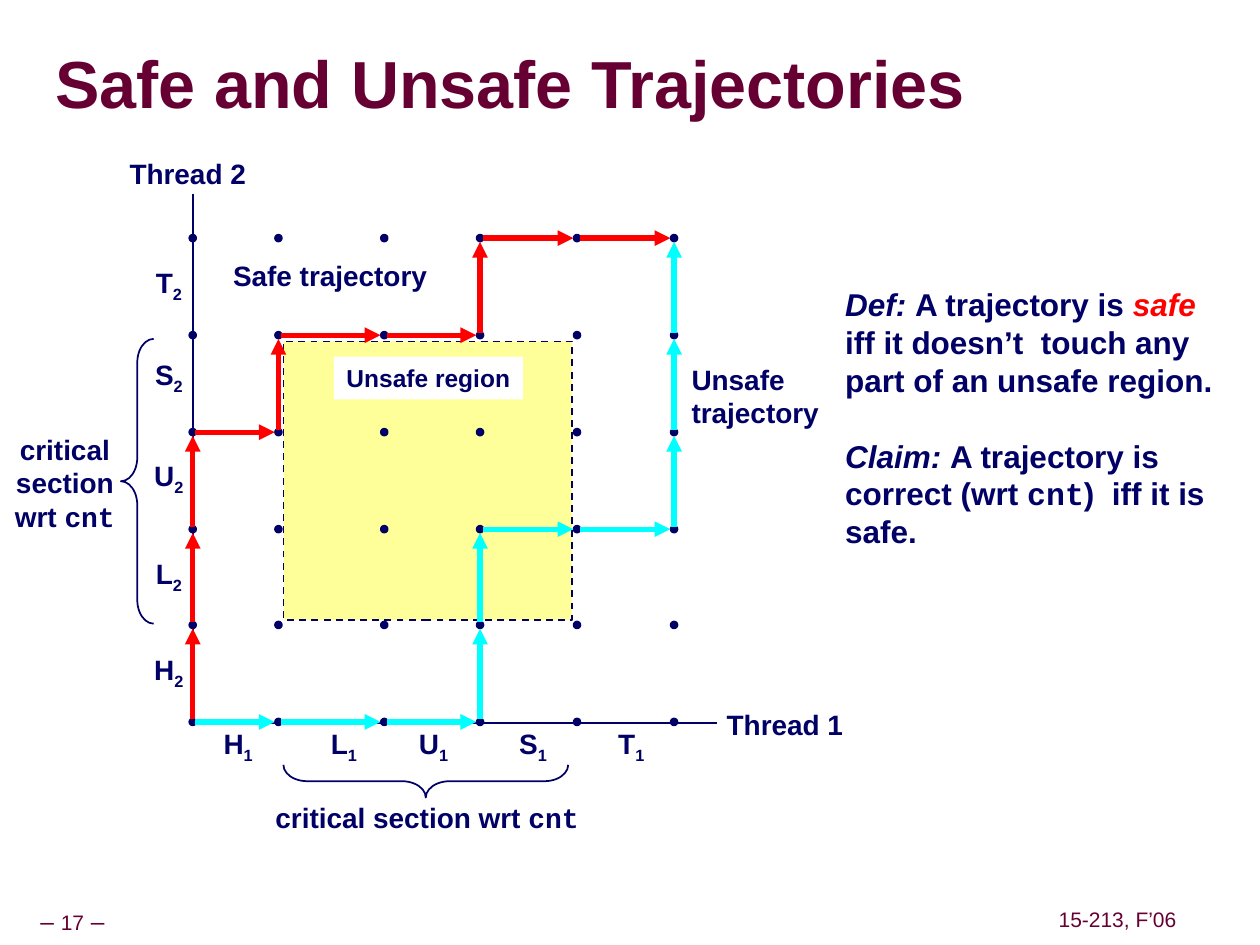
from lxml import etree
from pptx import Presentation
from pptx.dml.color import RGBColor
from pptx.enum import dml, shapes, text
from pptx.oxml.ns import qn
from pptx.util import Inches, Pt

THEME = {
    "navy": "000066", "maroon": "660033", "red": "FF0000", "cyan": "00FFFF",
    "yellow": "FFFF99", "white": "FFFFFF",
    "sans": "Arial", "mono": "Courier New",
    "title": 38, "body": 18, "label": 16, "small": 14, "footer": 12,
}
MONO = {"font": "mono"}
ITALIC = {"italic": True}
FOOTER = {"color": "maroon", "bold": False, "size": "footer"}
CENTER, LEFT = text.PP_ALIGN.CENTER, text.PP_ALIGN.LEFT

TITLE = [[("Safe and Unsafe Trajectories", {"color": "maroon", "size": "title"})]]
PAGE = [[("– ", {**FOOTER, "size": "small"}), ("17", FOOTER),
         (" –", {**FOOTER, "size": "small"})]]
COURSE = [[("15-213, F’06", FOOTER)]]
DEFINITION = [
    [("Def: ", ITALIC), ("A trajectory is ", {}), ("safe", {"color": "red", **ITALIC})],
    [("iff it doesn’t  touch any", {})],
    [("part of an unsafe region.", {})],
    [("Claim: ", ITALIC), ("A trajectory is", {})],
    [("correct (wrt ", {}), ("cnt", MONO), (")  iff it is", {})],
    [("safe.", {})],
]
CRITICAL = [[("critical section wrt ", {}), ("cnt", MONO)]]
LABELS = [
    ([[("Thread 1", {})]], (5.63, 5.56, 1.2, 0.37), CENTER),
    ([[("Thread 2", {})]], (0.89, 1.19, 1.2, 0.37), CENTER),
    ([[("Unsafe", {})], [("trajectory", {})]], (5.39, 2.82, 1.25, 0.64), LEFT),
    ([[("Safe trajectory", {})]], (1.72, 2, 1.8, 0.37), CENTER),
    (CRITICAL, (2.04, 6.3, 2.7, 0.37), CENTER),
]
STEPS = "HLUST"
STEP_X = [1.89, 2.73, 3.44, 4.23, 5.01]
STEP_Y = [5.33, 4.57, 3.79, 2.99, 2.26]
STEP_W, STEP_H = 0.5, 0.41
GRID_X = [1.53, 2.21, 3.05, 3.81, 4.58, 5.35]
GRID_Y = [5.73, 4.96, 4.2, 3.43, 2.66, 1.89]
TRAJECTORIES = [("cyan", "RRRUURRUUU"), ("red", "UUURURRURR")]
DOT, START_GAP, END_GAP = 0.04, 0.02, 0.03


def rgb(name):
    return RGBColor.from_string(THEME[name])


def add_text(s, paras, box, align=CENTER, size="label", inset=(0.1, 0.05),
             wrap=False, fill=None, spacing=None):
    sp = s.shapes.add_textbox(*map(Inches, box))
    if fill:
        sp.fill.solid()
        sp.fill.fore_color.rgb = rgb(fill)
    tf = sp.text_frame
    tf.word_wrap = wrap
    tf.vertical_anchor = text.MSO_ANCHOR.MIDDLE
    tf.margin_left = tf.margin_right = Inches(inset[0])
    tf.margin_top = tf.margin_bottom = Inches(inset[1])
    for i, runs in enumerate(paras):
        p = tf.add_paragraph() if i else tf.paragraphs[0]
        p.alignment = align
        if spacing:
            p.line_spacing = spacing
        for content, style in runs:
            r = p.add_run()
            r.text = content
            r.font.name = THEME[style.get("font", "sans")]
            r.font.size = Pt(THEME[style.get("size", size)])
            r.font.bold = style.get("bold", True)
            r.font.italic = style.get("italic", False)
            r.font.color.rgb = rgb(style.get("color", "navy"))
            if "baseline" in style:
                r._r.get_or_add_rPr().set("baseline", style["baseline"])
    return tf


def add_shape(s, kind, box, fill=None, width=1):
    sp = s.shapes.add_shape(kind, *map(Inches, box))
    sp.shadow.inherit = False
    if fill:
        sp.fill.solid()
        sp.fill.fore_color.rgb = rgb(fill)
    else:
        sp.fill.background()
    sp.line.color.rgb = rgb("navy")
    sp.line.width = Pt(width)
    return sp


def add_line(s, start, end, color="navy", width=1, arrow=False):
    line = s.shapes.add_connector(shapes.MSO_CONNECTOR.STRAIGHT,
                                  *map(Inches, (*start, *end)))
    line.line.color.rgb = rgb(color)
    line.line.width = Pt(width)
    if arrow:
        etree.SubElement(line.line._get_or_add_ln(), qn("a:tailEnd"), type="triangle")
    etree.SubElement(line._element.spPr, qn("a:effectLst"))


def add_brace(s, box, rotation=0):
    brace = add_shape(s, shapes.MSO_SHAPE.LEFT_BRACE, box)
    brace.adjustments[0] = 0.73
    brace.rotation = rotation


def add_trajectory(s, color, moves):
    col = row = 0
    for move in moves:
        x, y = GRID_X[col], GRID_Y[row]
        if move == "R":
            col += 1
            start, end = (x + START_GAP, y), (GRID_X[col] - END_GAP, y)
        else:
            row += 1
            start, end = (x, y - START_GAP), (x, GRID_Y[row] + END_GAP)
        add_line(s, start, end, color, 3, arrow=True)


def add_graph(s):
    region = add_shape(s, shapes.MSO_SHAPE.RECTANGLE, (2.25, 2.71, 2.29, 2.21), "yellow")
    region.line.dash_style = dml.MSO_LINE.DASH
    origin = (GRID_X[0], 5.74)
    add_line(s, origin, (5.69, 5.74))
    add_line(s, origin, (GRID_X[0], 1.54))
    for thread, centers in (("1", [(x, 5.92) for x in STEP_X]),
                            ("2", [(1.34, y) for y in STEP_Y])):
        for step, (x, y) in zip(STEPS, centers):
            label = [[(step, {}), (thread, {"baseline": "-25000"})]]
            add_text(s, label, (x - STEP_W / 2, y - STEP_H / 2, STEP_W, STEP_H))
    for x in GRID_X:
        for y in GRID_Y:
            add_shape(s, shapes.MSO_SHAPE.OVAL, (x - DOT / 2, y - DOT / 2, DOT, DOT),
                      "navy", 2)
    add_text(s, [[("Unsafe region", {})]], (2.65, 2.83, 1.5, 0.34), size="small",
             fill="white")
    for color, moves in TRAJECTORIES:
        add_trajectory(s, color, moves)
    add_brace(s, (0.96, 2.69, 0.26, 2.26))
    add_brace(s, (3.25, 5.07, 0.26, 2.26), 270)
    add_text(s, CRITICAL, (0, 3.38, 1.03, 0.9), wrap=True)


def main():
    """Build the slide on safe and unsafe trajectories."""
    prs = Presentation()
    prs.slide_width, prs.slide_height = Inches(10), Inches(7.5)
    s = prs.slides.add_slide(prs.slide_layouts[6])
    add_text(s, PAGE, (-0.02, 7.17, 1.19, 0.31), inset=(0.05, 0.05), spacing=0.9)
    add_text(s, COURSE, (8.35, 7.17, 1.04, 0.28), inset=(0.05, 0.05), spacing=0.9)
    add_text(s, TITLE, (0.44, 0.27, 9.53, 0.85), LEFT, inset=(0, 0), wrap=True,
             spacing=0.87)
    add_graph(s)
    for paras, box, align in LABELS:
        add_text(s, paras, box, align)
    tf = add_text(s, DEFINITION, (6.61, 1.59, 3.27, 3.45), LEFT, "body", (0.1, 0))
    tf.paragraphs[3].space_before = Pt(21.6)
    prs.save("out.pptx")


if __name__ == "__main__":
    main()
